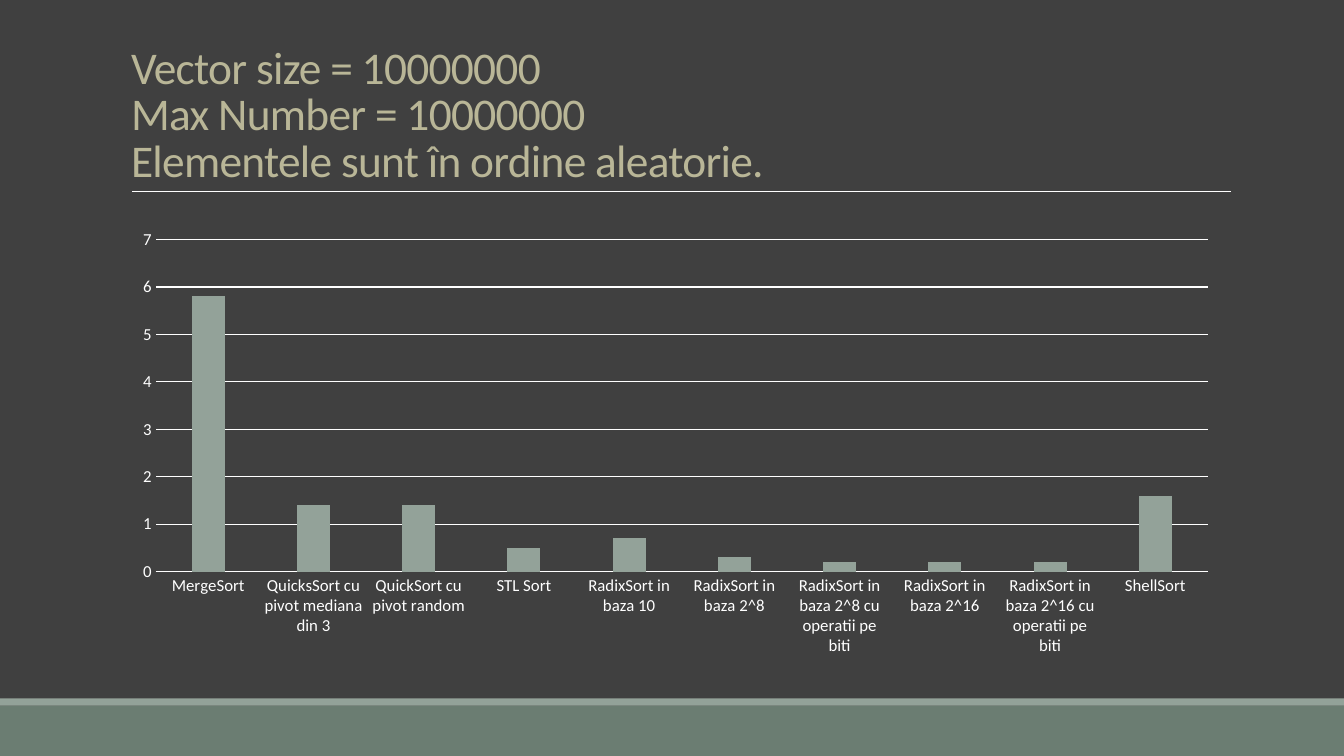
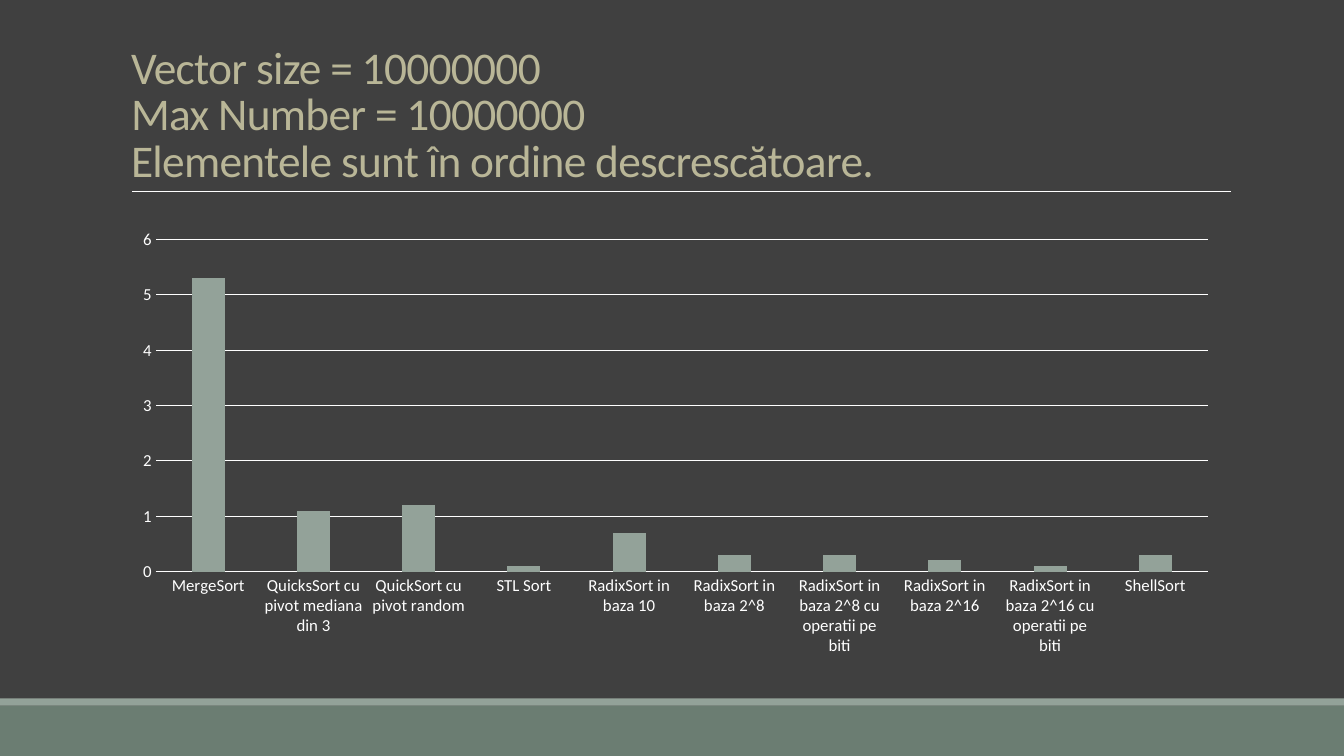
from pptx import Presentation
from pptx.chart.data import CategoryChartData
from pptx.dml.color import RGBColor
from pptx.enum import chart as ch, shapes, text
from pptx.oxml.ns import qn
from pptx.util import Inches, Pt

BACKGROUND = RGBColor(0x40, 0x40, 0x40)
BAND = RGBColor(0x6B, 0x7D, 0x72)
ACCENT = RGBColor(0x93, 0xA2, 0x99)
TITLE = RGBColor(0xB9, 0xB6, 0x97)
WHITE = RGBColor(0xFF, 0xFF, 0xFF)
FONT = "Calibri"

ALGORITHMS = [
    "MergeSort",
    "QuicksSort cu pivot mediana din 3",
    "QuickSort cu pivot random",
    "STL Sort",
    "RadixSort in baza 10",
    "RadixSort in baza 2^8",
    "RadixSort in baza 2^8 cu operatii pe biti",
    "RadixSort in baza 2^16",
    "RadixSort in baza 2^16 cu operatii pe biti",
    "ShellSort",
]

# Element order, axis maximum, running times
RUNS = [
    ("aleatorie", 7, [5.8, 1.4, 1.4, 0.5, 0.7, 0.3, 0.2, 0.2, 0.2, 1.6]),
    ("descrescătoare", 6, [5.3, 1.1, 1.2, 0.1, 0.7, 0.3, 0.3, 0.2, 0.1, 0.3]),
]

prs = Presentation()
prs.slide_width, prs.slide_height = Inches(13.33), Inches(7.5)

layout = prs.slide_layouts.get_by_name("Title Only")
layout.background.fill.solid()
layout.background.fill.fore_color.rgb = BACKGROUND
title = layout.placeholders[0]
title.left, title.top = Inches(1.2), Inches(0.31)
title.width, title.height = Inches(11), Inches(1.59)

for order, axis_max, times in RUNS:
    s = prs.slides.add_slide(layout)

    tf = s.shapes.title.text_frame
    tf.auto_size = text.MSO_AUTO_SIZE.NONE
    tf.vertical_anchor = text.MSO_ANCHOR.BOTTOM
    p = tf.paragraphs[0]
    p.text = f"Vector size = 10000000\vMax Number = 10000000\vElementele sunt în ordine {order}."
    p.alignment = text.PP_ALIGN.LEFT
    p.line_spacing = 0.85
    for r in p.runs:
        r.font.name = FONT
        r.font.size = Pt(32.4)
        r.font.color.rgb = TITLE
        r.font._element.set("spc", "-50")

    data = CategoryChartData(number_format="General")
    data.categories = ALGORITHMS
    data.add_series("Series 1", times)
    chart = s.shapes.add_chart(
        ch.XL_CHART_TYPE.COLUMN_CLUSTERED,
        Inches(1.2), Inches(2.19), Inches(11), Inches(4.4), data).chart
    chart.has_legend = False
    chart.has_title = False
    chart.font.name = FONT
    chart.font.size = Pt(10)
    chart.font.color.rgb = WHITE

    plot = chart.plots[0]
    plot.gap_width, plot.overlap = 219, -27
    plot.vary_by_categories = False
    fill = plot.series[0].format.fill
    fill.solid()
    fill.fore_color.rgb = ACCENT

    cat_axis, val_axis = chart.category_axis, chart.value_axis
    for axis in (cat_axis, val_axis):
        axis.major_tick_mark = axis.minor_tick_mark = ch.XL_TICK_MARK.NONE
        font = axis.tick_labels.font
        font.name, font.size = FONT, Pt(12)
        font.color.rgb = WHITE
    val_axis.minimum_scale, val_axis.maximum_scale = 0, axis_max
    val_axis.major_unit = 1
    val_axis.format.line.fill.background()
    for line in (cat_axis.format.line, val_axis.major_gridlines.format.line):
        line.color.rgb = WHITE
        line.width = Pt(0.75)

# Bands and title rule are drawn on a slide, then moved to the shared layout
for top, height, color in ((7, 0.5, BAND), (6.93, 0.07, ACCENT)):
    sp = s.shapes.add_shape(shapes.MSO_SHAPE.RECTANGLE,
                            0, Inches(top), prs.slide_width, Inches(height))
    sp.shadow.inherit = False
    sp.fill.solid()
    sp.fill.fore_color.rgb = color
    sp.line.fill.background()
    layout.shapes.element.append(sp.element)

rule = s.shapes.add_connector(shapes.MSO_CONNECTOR.STRAIGHT,
                              Inches(1.31), Inches(1.9), Inches(12.21), Inches(1.9))
rule.line.color.rgb = WHITE
rule.line.width = Pt(0.5)
sp_pr = rule.element.spPr
sp_pr.append(sp_pr.makeelement(qn("a:effectLst"), {}))
layout.shapes.element.append(rule.element)

prs.save("out.pptx")
